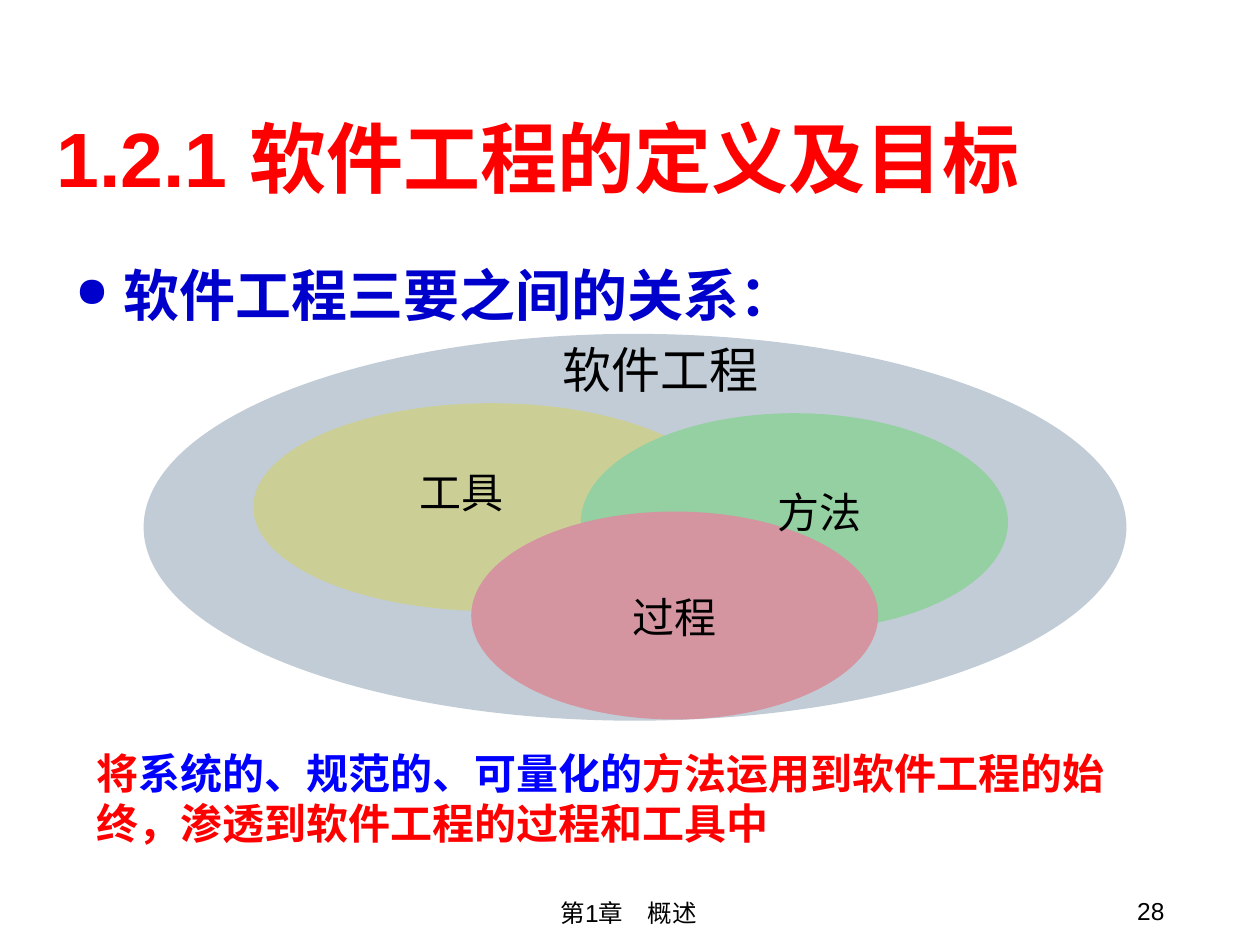
from lxml.etree import SubElement
from pptx import Presentation
from pptx.dml.color import RGBColor
from pptx.enum.shapes import MSO_SHAPE
from pptx.enum.text import MSO_ANCHOR, PP_ALIGN
from pptx.oxml.ns import qn
from pptx.util import Inches, Pt

FONT = "Arial"
BLACK = RGBColor(0x00, 0x00, 0x00)
RED = RGBColor(0xFF, 0x00, 0x00)
BLUE = RGBColor(0x00, 0x00, 0xFF)
DARK_BLUE = RGBColor(0x00, 0x00, 0xCC)
GREY = RGBColor(0xC2, 0xCC, 0xD6)
OLIVE = RGBColor(0xCC, 0xCF, 0x95)
GREEN = RGBColor(0x94, 0xD0, 0xA1)
PINK = RGBColor(0xD4, 0x94, 0xA0)

# Left, top, width, height in inches, from back to front
ELLIPSES = [
    ((1.14, 2.65, 7.8, 3.07), GREY),
    ((2.01, 3.2, 3.78, 1.65), OLIVE),
    ((4.61, 3.28, 3.39, 1.73), GREEN),
    ((3.74, 4.06, 3.23, 1.65), PINK),
]
LABELS = [
    ("软件工程", (3.43, 2.65, 3.62, 0.55), 28),
    ("过程", (4.45, 4.62, 1.81, 0.55), 24),
    ("方法", (5.79, 3.83, 1.42, 0.47), 24),
    ("工具", (2.95, 3.67, 1.42, 0.47), 24),
]


def format_run(run, size, color, bold=False):
    run.font.name = FONT
    run.font.size = Pt(size)
    run.font.bold = bold
    run.font.color.rgb = color


def add_text(slide, box, pieces, size, bold=False, align=PP_ALIGN.LEFT):
    """Add a wrapping text box of one paragraph; pieces are (text, colour) pairs."""
    shape = slide.shapes.add_textbox(*map(Inches, box))
    shape.text_frame.word_wrap = True
    paragraph = shape.text_frame.paragraphs[0]
    paragraph.alignment = align
    for text, color in pieces:
        run = paragraph.add_run()
        run.text = text
        format_run(run, size, color, bold)
    return shape


def add_title(slide, text):
    title = slide.shapes.title
    title.left, title.top, title.width, title.height = map(Inches, (0.35, 0.83, 9, 0.95))
    frame = title.text_frame
    frame.text = text
    frame.vertical_anchor = MSO_ANCHOR.TOP
    paragraph = frame.paragraphs[0]
    paragraph.alignment = PP_ALIGN.LEFT
    format_run(paragraph.runs[0], 44, RED, bold=True)


def add_bullet(paragraph, color):
    properties = paragraph._p.get_or_add_pPr()
    properties.set("marL", str(Inches(0.38)))
    properties.set("indent", str(-Inches(0.38)))
    bullet_color = SubElement(properties, qn("a:buClr"))
    SubElement(bullet_color, qn("a:srgbClr")).set("val", str(color))
    SubElement(properties, qn("a:buSzPct")).set("val", "75000")
    SubElement(properties, qn("a:buChar")).set("char", "●")


def add_ellipse(slide, box, color):
    ellipse = slide.shapes.add_shape(MSO_SHAPE.OVAL, *map(Inches, box))
    ellipse.shadow.inherit = False
    ellipse.fill.solid()
    ellipse.fill.fore_color.rgb = color
    ellipse.line.fill.background()


def add_label(slide, text, box, size):
    label = add_text(slide, box, [(text, BLACK)], size, align=PP_ALIGN.CENTER)
    label.text_frame.word_wrap = False
    label.text_frame.vertical_anchor = MSO_ANCHOR.MIDDLE


def main():
    presentation = Presentation()
    presentation.slide_width = Inches(10)
    presentation.slide_height = Inches(7.5)
    slide = presentation.slides.add_slide(presentation.slide_layouts[5])

    add_title(slide, "1.2.1 软件工程的定义及目标")
    heading = add_text(slide, (0.5, 2.02, 9, 0.7),
                       [("软件工程三要之间的关系：", DARK_BLUE)], 32, bold=True)
    add_bullet(heading.text_frame.paragraphs[0], DARK_BLUE)

    for box, color in ELLIPSES:
        add_ellipse(slide, box, color)
    for text, box, size in LABELS:
        add_label(slide, text, box, size)

    summary = [
        ("将", RED),
        ("系统的、规范的、可量化的", BLUE),
        ("方法运用到软件工程的始终，渗透到软件工程的过程和工具中", RED),
    ]
    add_text(slide, (0.67, 5.88, 8.23, 0.9), summary, 24, bold=True)
    add_text(slide, (2.35, 7.08, 5.28, 0.34), [("第1章　概述", BLACK)], 14,
             align=PP_ALIGN.CENTER)
    add_text(slide, (7.17, 7.06, 2.17, 0.29), [("28", BLACK)], 14,
             align=PP_ALIGN.RIGHT)

    presentation.save("out.pptx")


if __name__ == "__main__":
    main()
